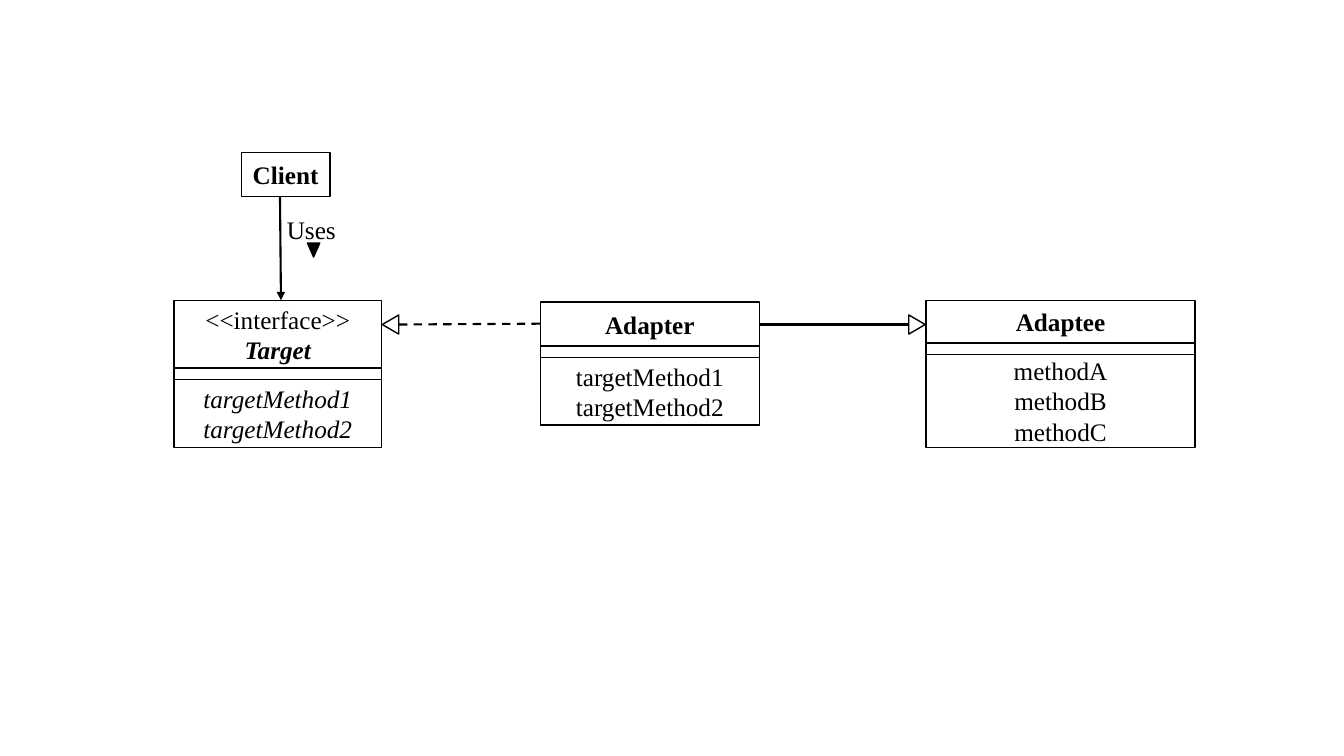
from lxml.etree import SubElement
from pptx import Presentation
from pptx.dml.color import RGBColor
from pptx.enum.dml import MSO_LINE
from pptx.enum.shapes import MSO_CONNECTOR, MSO_SHAPE
from pptx.enum.text import MSO_ANCHOR, PP_ALIGN
from pptx.oxml.ns import qn
from pptx.util import Pt

BLACK = RGBColor(0x00, 0x00, 0x00)
WHITE = RGBColor(0xFF, 0xFF, 0xFF)
FONT = "Times New Roman"
ATTRIBUTES_HEIGHT = 8.25
RELATION_Y = 231.8


def style_paragraph(paragraph, text, bold=False, italic=False):
    paragraph.text = text
    font = paragraph.font
    font.name, font.size = FONT, Pt(18)
    font.bold, font.italic = bold, italic
    font.color.rgb = BLACK


def add_outlined(slide, kind, left, top, width, height, fill=WHITE):
    shape = slide.shapes.add_shape(kind, Pt(left), Pt(top), Pt(width), Pt(height))
    shape.shadow.inherit = False
    shape.fill.solid()
    shape.fill.fore_color.rgb = fill
    shape.line.color.rgb = BLACK
    shape.line.width = Pt(1)
    return shape


def add_compartment(slide, left, top, width, height, lines=()):
    """Add a rectangle; each line is (text, bold, italic)."""
    compartment = add_outlined(slide, MSO_SHAPE.RECTANGLE, left, top, width, height)
    frame = compartment.text_frame
    frame.vertical_anchor = MSO_ANCHOR.MIDDLE
    frame.margin_top = frame.margin_bottom = 0
    for index, line in enumerate(lines):
        paragraph = frame.add_paragraph() if index else frame.paragraphs[0]
        paragraph.alignment = PP_ALIGN.CENTER
        style_paragraph(paragraph, *line)


def add_class(slide, left, top, width, heading, heading_height,
              methods, methods_height):
    """Stack the heading, the empty attributes and the methods of a class."""
    for height, lines in ((heading_height, heading),
                          (ATTRIBUTES_HEIGHT, ()),
                          (methods_height, methods)):
        add_compartment(slide, left, top, width, height, lines)
        top += height


def add_triangle(slide, center_x, center_y, width, height, rotation, fill=WHITE):
    triangle = add_outlined(slide, MSO_SHAPE.ISOSCELES_TRIANGLE,
                            center_x - width / 2, center_y - height / 2,
                            width, height, fill)
    triangle.rotation = rotation


def add_line(slide, start, end, dashed=False, arrow=False):
    line = slide.shapes.add_connector(
        MSO_CONNECTOR.STRAIGHT, *(Pt(length) for length in (*start, *end)))
    line.line.color.rgb = BLACK
    line.line.width = Pt(1.5)
    if dashed:
        line.line.dash_style = MSO_LINE.DASH
    if arrow:
        SubElement(line.line._get_or_add_ln(), qn("a:tailEnd"), type="triangle")
    SubElement(line._element.spPr, qn("a:effectLst"))


def add_label(slide, text, left, top, width, height):
    label = slide.shapes.add_textbox(Pt(left), Pt(top), Pt(width), Pt(height))
    label.text_frame.word_wrap = True
    style_paragraph(label.text_frame.paragraphs[0], text)


def main():
    presentation = Presentation()
    presentation.slide_width, presentation.slide_height = Pt(960), Pt(540)
    slide = presentation.slides.add_slide(presentation.slide_layouts[6])

    target_methods = ("targetMethod1", "targetMethod2")
    add_class(slide, 124.3, 214.5, 148.3,
              [("<<interface>>",), ("Target", True, True)], 48.5,
              [(method, False, True) for method in target_methods], 48.5)
    add_class(slide, 386, 215.8, 156.4, [("Adapter", True)], 31.2,
              [(method,) for method in target_methods], 48.3)
    add_class(slide, 661.5, 214.5, 192.2, [("Adaptee", True)], 30.4,
              [("methodA",), ("methodB",), ("methodC",)], 66.4)

    add_triangle(slide, 279, RELATION_Y, 13.7, 11.8, 270)
    add_line(slide, (285, RELATION_Y), (386, RELATION_Y - 0.6), dashed=True)
    add_triangle(slide, 655, RELATION_Y, 13.7, 11.8, 90)
    add_line(slide, (542.6, RELATION_Y), (648.8, RELATION_Y))

    add_line(slide, (200, 140.3), (200.7, 214.5), arrow=True)
    add_compartment(slide, 172.3, 109, 63.4, 31.2, [("Client", True)])
    add_label(slide, "Uses", 197.8, 149.8, 81.4, 29)
    add_triangle(slide, 224, 178.6, 8.8, 10, 180, BLACK)

    presentation.save("out.pptx")


if __name__ == "__main__":
    main()
